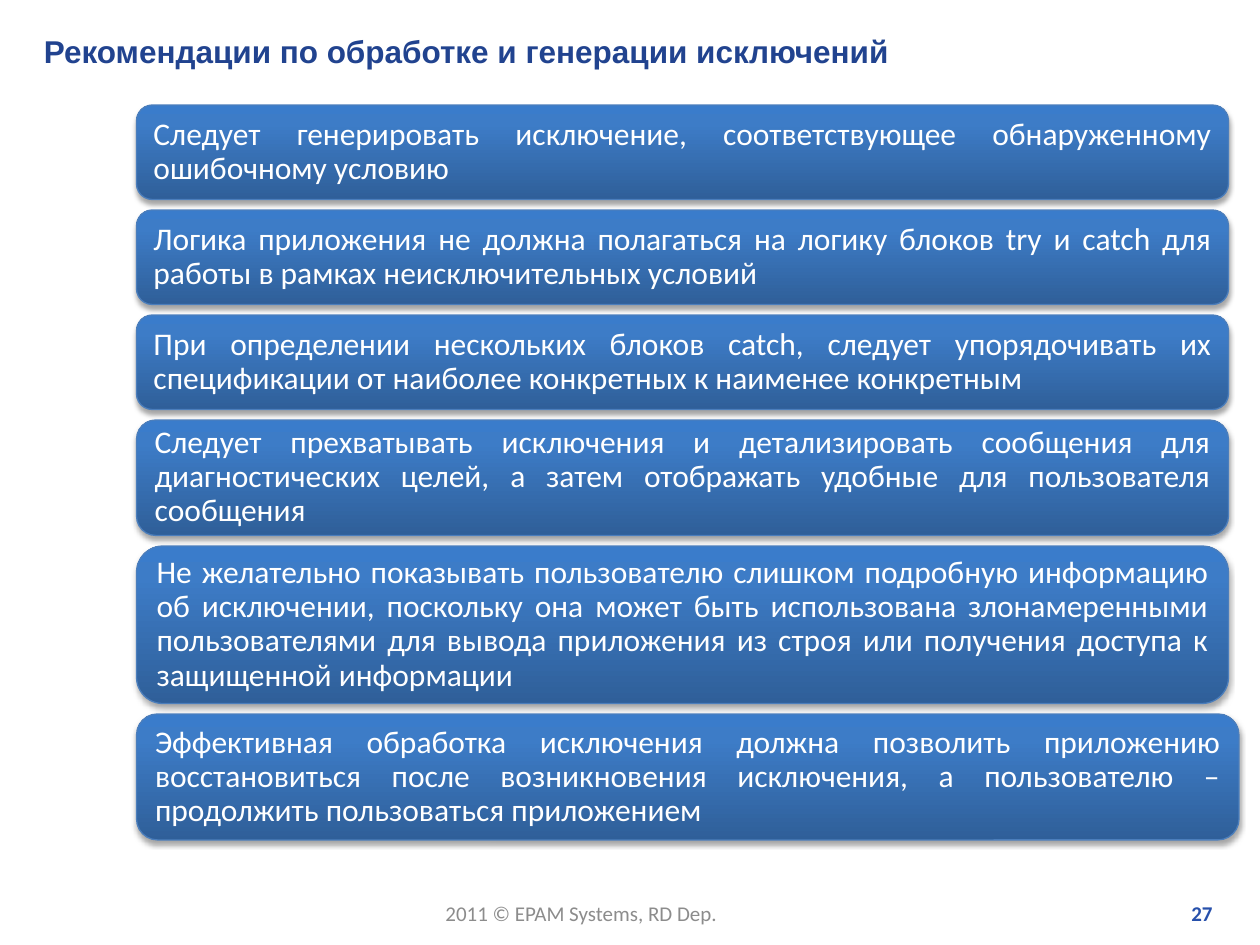
from copy import deepcopy
from dataclasses import dataclass

from lxml import etree
from pptx import Presentation
from pptx.dml.color import RGBColor
from pptx.enum.shapes import MSO_SHAPE
from pptx.enum.text import MSO_ANCHOR, PP_ALIGN
from pptx.oxml import parse_xml
from pptx.oxml.ns import nsdecls, qn
from pptx.util import Pt

ROUND = MSO_SHAPE.ROUNDED_RECTANGLE
MIDDLE = MSO_ANCHOR.MIDDLE
LEFT, RIGHT, JUST = PP_ALIGN.LEFT, PP_ALIGN.RIGHT, PP_ALIGN.JUSTIFY


@dataclass(frozen=True)
class Theme:
    """Colours, fonts and type sizes of the slide."""
    head: str = "21438F"
    page: str = "2750AB"
    foot: str = "8C8C8C"
    text: str = "FFFFFF"
    edge: str = "4B7EBC"
    fade: tuple = ((0, "2F5F99"), (0.8, "3D7CC7"), (1, "3A7CCB"))
    title: str = "Arial"
    body: str = "Calibri"
    large: int = 18
    small: int = 12


THEME = Theme()
X, Y, WIDTH, GAP = 78, 60, 624, 6
TIPS = (
    (WIDTH, 54, "Следует генерировать исключение, соответствующее "
     "обнаруженному ошибочному условию"),
    (WIDTH, 54, "Логика приложения не должна полагаться на логику блоков "
     "try и catch для работы в рамках неисключительных условий"),
    (WIDTH, 54, "При определении нескольких блоков catch, следует "
     "упорядочивать их спецификации от наиболее конкретных к наименее "
     "конкретным"),
    (WIDTH, 66, "Следует прехватывать исключения и детализировать сообщения "
     "для диагностических целей, а затем отображать удобные для "
     "пользователя сообщения"),
    (WIDTH, 90, "Не желательно показывать пользователю слишком подробную "
     "информацию об исключении, поскольку она может быть использована "
     "злонамеренными пользователями для вывода приложения из строя или "
     "получения доступа к защищенной информации"),
    (WIDTH + 6, 72, "Эффективная обработка исключения должна позволить "
     "приложению восстановиться после возникновения исключения, а "
     "пользователю – продолжить пользоваться приложением"),
)


def write(shape, text, face, size, tint, align, bold=False, wrap=True):
    """Put one styled paragraph into a shape."""
    frame = shape.text_frame
    frame.word_wrap = wrap
    frame.vertical_anchor = MIDDLE
    para = frame.paragraphs[0]
    para.text = text
    para.alignment = align
    font = para.font
    font.name, font.size, font.bold = face, Pt(size), bold
    font.color.rgb = RGBColor.from_string(tint)
    return para


def label(slide, box, *style, **more):
    """Add a text box."""
    shape = slide.shapes.add_textbox(*map(Pt, box))
    write(shape, *style, **more)


def shade(shape):
    """Fill a shape with the theme's vertical fade."""
    fill = shape.fill
    fill.gradient()
    fill.gradient_angle = 90
    stops = shape._element.spPr.find(".//" + qn("a:gsLst"))
    stops.append(deepcopy(stops[-1]))
    for stop, (place, tint) in zip(fill.gradient_stops, THEME.fade):
        stop.position = place
        stop.color.rgb = RGBColor.from_string(tint)


def drop(shape):
    """Give a shape a soft shadow below it."""
    shape.shadow.inherit = False
    cast = parse_xml(
        f'<a:outerShdw {nsdecls("a")} blurRad="{Pt(3.1)}" dist="{Pt(1.8)}" '
        'dir="5400000" rotWithShape="0"><a:srgbClr val="000000">'
        '<a:alpha val="35000"/></a:srgbClr></a:outerShdw>')
    shape._element.spPr.find(qn("a:effectLst")).append(cast)


def panel(slide, box, text):
    """Add a rounded panel with justified text."""
    shape = slide.shapes.add_shape(ROUND, *map(Pt, box))
    shade(shape)
    shape.line.color.rgb = RGBColor.from_string(THEME.edge)
    shape.line.width = Pt(0.75)
    drop(shape)
    para = write(shape, text, THEME.body, THEME.large, THEME.text, JUST)
    para.line_spacing = 0.9
    tabs = etree.SubElement(para._p.pPr, qn("a:tabLst"))
    etree.SubElement(tabs, qn("a:tab"), pos=str(Pt(36)), algn="l")
    props = para._p.pPr
    props.append(props.find(qn("a:defRPr")))


def main():
    """Build the slide and save it."""
    deck = Presentation()
    deck.slide_width, deck.slide_height = Pt(720), Pt(540)
    slide = deck.slides.add_slide(deck.slide_layouts[6])
    label(slide, (247.5, 511, 172, 22), "2011 © EPAM Systems, RD Dep.",
          THEME.body, THEME.small, THEME.foot, LEFT, wrap=False)
    label(slide, (547, 511, 153, 22), "27",
          THEME.body, THEME.small, THEME.page, RIGHT, bold=True)
    label(slide, (18, 14.5, 687, 29),
          "Рекомендации по обработке и генерации исключений",
          THEME.title, THEME.large, THEME.head, LEFT, bold=True)
    top = Y
    for width, height, text in TIPS:
        panel(slide, (X, top, width, height), text)
        top += height + GAP
    deck.save("out.pptx")


if __name__ == "__main__":
    main()
